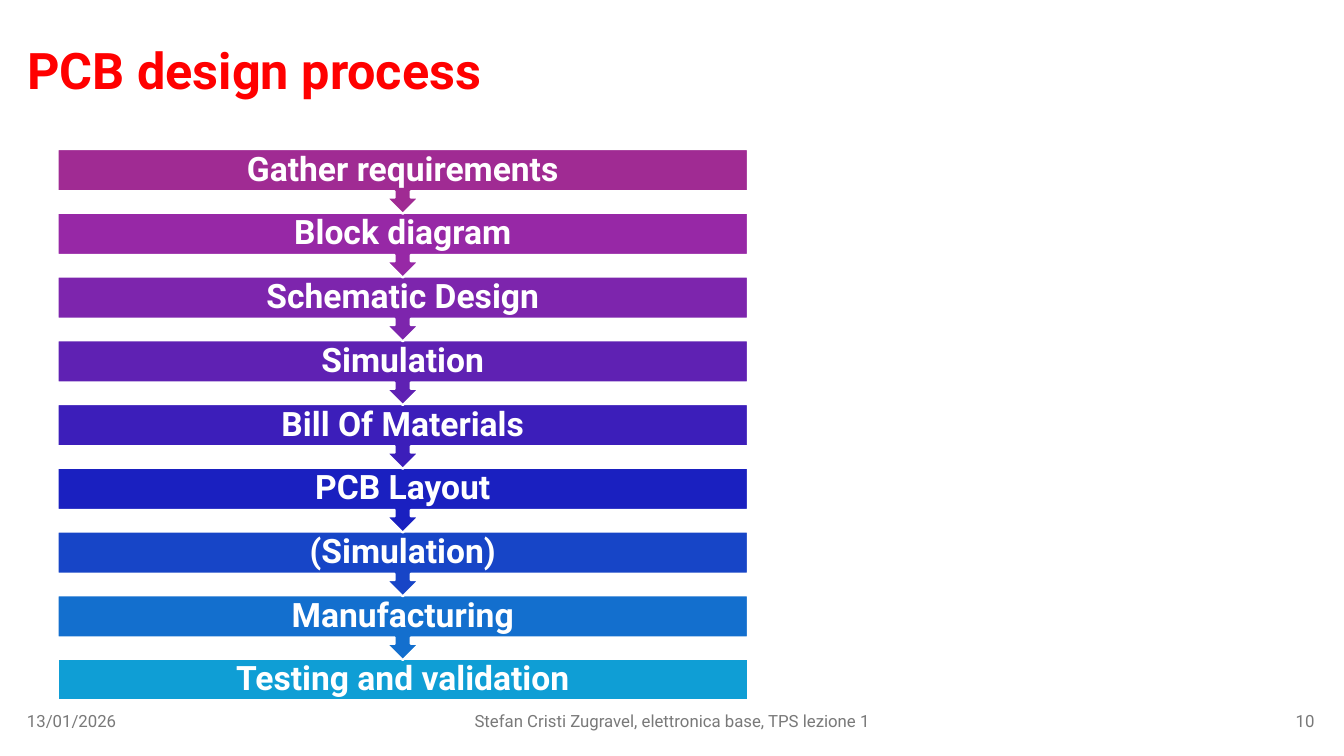
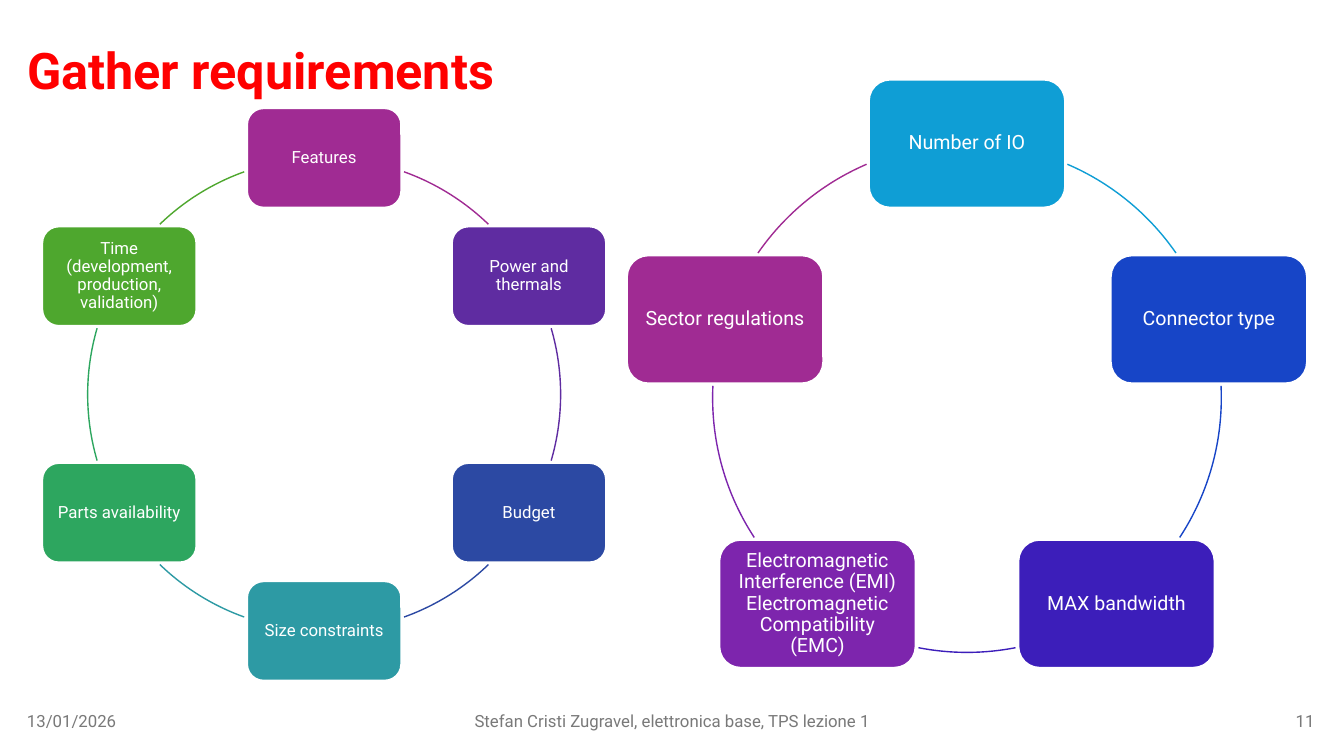
"""Build two slides on the PCB design process and its requirements."""
from math import cos, radians, sin

from pptx import Presentation
from pptx.dml.color import RGBColor
from pptx.enum.shapes import MSO_SHAPE as Shape
from pptx.enum.text import MSO_ANCHOR as Anchor, MSO_AUTO_SIZE as AutoSize, PP_ALIGN as Align
from pptx.util import Cm, Pt

FONT = "Roboto"
RED, GREY, WHITE = "FF0000", "797979", "FFFFFF"
DATE = "13/01/2026"
COURSE = "Stefan Cristi Zugravel, elettronica base, TPS lezione 1"

STEPS = [
    ("Gather requirements", "A02B93"),
    ("Block diagram", "9728A6"),
    ("Schematic Design", "7D25AD"),
    ("Simulation", "5F21B3"),
    ("Bill Of Materials", "3C1EBA"),
    ("PCB Layout", "1A20C0"),
    ("(Simulation)", "1745C7"),
    ("Manufacturing", "136FCE"),
    ("Testing and validation", "0F9ED5"),
]
CYCLES = [
    {
        "center": (8.17, 9.94), "radius": 5.96, "node": (3.89, 2.51),
        "size": 12, "inset": 0.13,
        "nodes": [
            ("Features", "A02B93"),
            ("Power and thermals", "5F2CA1"),
            ("Budget", "2C49A3"),
            ("Size constraints", "2D9AA4"),
            ("Parts availability", "2DA65F"),
            ("Time (development, production, validation)", "4EA72E"),
        ],
    },
    {
        "center": (24.37, 10.03), "radius": 6.41, "node": (4.95, 3.23),
        "size": 14, "inset": 0.16,
        "nodes": [
            ("Number of IO", "0F9ED5"),
            ("Connector type", "1745C7"),
            ("MAX bandwidth", "3C1EBA"),
            ("Electromagnetic Interference (EMI) Electromagnetic Compatibility (EMC)", "7D25AD"),
            ("Sector regulations", "A02B93"),
        ],
    },
]

CHAIN_LEFT, CHAIN_WIDTH = 1.45, 17.4
CHAIN_TOP, CHAIN_LAST = 3.76, 16.61
STEP_HEIGHT, CALLOUT_HEIGHT = 1.04, 1.63
NODE_GAP = 0.05


def color(code):
    """Turn a hex string into a colour."""
    return RGBColor.from_string(code)


def write(box, text, size, code, align, bold=False, spacing=0.9):
    """Put one formatted, vertically centred paragraph in a shape."""
    frame = box.text_frame
    frame.text = text
    frame.word_wrap = True
    frame.auto_size = AutoSize.NONE
    frame.vertical_anchor = Anchor.MIDDLE
    para = frame.paragraphs[0]
    para.alignment = align
    para.line_spacing = spacing
    font = para.runs[0].font
    font.name, font.size, font.bold = FONT, Pt(size), bold
    font.color.rgb = color(code)


def add_page(deck, title, number):
    """Add a slide with its title and footer."""
    page = deck.slides.add_slide(deck.slide_layouts[5])
    heading = page.shapes.title
    heading.left, heading.top, heading.width, heading.height = (
        Cm(0.43), Cm(0.38), Cm(32.94), Cm(2.92))
    write(heading, title, 36, RED, Align.LEFT, bold=True)
    footers = [
        (DATE, 0.43, 7.62, Align.LEFT),
        (COURSE, 11.23, 11.43, Align.CENTER),
        (str(number), 25.76, 7.62, Align.RIGHT),
    ]
    for text, left, width, align in footers:
        box = page.shapes.add_textbox(Cm(left), Cm(17.65), Cm(width), Cm(1.02))
        write(box, text, 12, GREY, align, spacing=1.0)
    return page


def add_block(page, kind, place, fill):
    """Add a filled shape with a white outline."""
    block = page.shapes.add_shape(kind, *map(Cm, place))
    block.shadow.inherit = False
    block.fill.solid()
    block.fill.fore_color.rgb = color(fill)
    block.line.color.rgb = color(WHITE)
    block.line.width = Pt(1.5)
    return block


def add_chain(page):
    """Stack the steps from last to first, each pointing to the next."""
    last = len(STEPS) - 1
    pitch = (CHAIN_LAST - CHAIN_TOP) / last
    for index, (text, fill) in reversed(list(enumerate(STEPS))):
        kind, height = Shape.DOWN_ARROW_CALLOUT, CALLOUT_HEIGHT
        if index == last:
            kind, height = Shape.RECTANGLE, STEP_HEIGHT
        place = CHAIN_LEFT, CHAIN_TOP + index * pitch, CHAIN_WIDTH, height
        block = add_block(page, kind, place, fill)
        block.text_frame.margin_top = block.text_frame.margin_bottom = 0
        write(block, text, 24, WHITE, Align.CENTER, bold=True)


def add_arc(page, cycle, start, end, code):
    """Draw the part of the circle that is clear of both neighbouring nodes."""
    (center_x, center_y), radius = cycle["center"], cycle["radius"]
    reach_x, reach_y = (side / 2 + NODE_GAP for side in cycle["node"])

    def is_clear(angle):
        """Tell whether a point on the circle lies outside both nodes."""
        return all(
            abs(cos(radians(angle)) - cos(radians(node))) * radius > reach_x
            or abs(sin(radians(angle)) - sin(radians(node))) * radius > reach_y
            for node in (start, end))

    quarters = range(round(start * 4), round(end * 4) + 1)
    clear = [quarter / 4 for quarter in quarters if is_clear(quarter / 4)]
    arc = page.shapes.add_shape(
        Shape.ARC, Cm(center_x - radius), Cm(center_y - radius), Cm(2 * radius), Cm(2 * radius))
    arc.shadow.inherit = False
    arc.fill.background()
    arc.line.color.rgb = color(code)
    arc.line.width = Pt(1)
    for position, angle in enumerate((clear[0], clear[-1])):
        arc.adjustments[position] = angle % 360 * 0.6


def add_cycle(page, cycle):
    """Place the nodes evenly round a circle, clockwise from the top."""
    (center_x, center_y), radius = cycle["center"], cycle["radius"]
    width, height = cycle["node"]
    step = 360 / len(cycle["nodes"])
    for index, (text, fill) in enumerate(cycle["nodes"]):
        angle = index * step - 90
        left = center_x + radius * cos(radians(angle)) - width / 2
        top = center_y + radius * sin(radians(angle)) - height / 2
        block = add_block(page, Shape.ROUNDED_RECTANGLE, (left, top, width, height), fill)
        frame = block.text_frame
        frame.margin_left = frame.margin_right = Cm(cycle["inset"])
        frame.margin_top = frame.margin_bottom = Cm(cycle["inset"])
        write(block, text, cycle["size"], WHITE, Align.CENTER)
        add_arc(page, cycle, angle, angle + step, fill)


def main():
    """Build and save the deck."""
    deck = Presentation()
    deck.slide_width, deck.slide_height = Cm(33.87), Cm(19.05)
    add_chain(add_page(deck, "PCB design process", 10))
    page = add_page(deck, "Gather requirements", 11)
    for cycle in CYCLES:
        add_cycle(page, cycle)
    deck.save("out.pptx")


if __name__ == "__main__":
    main()
